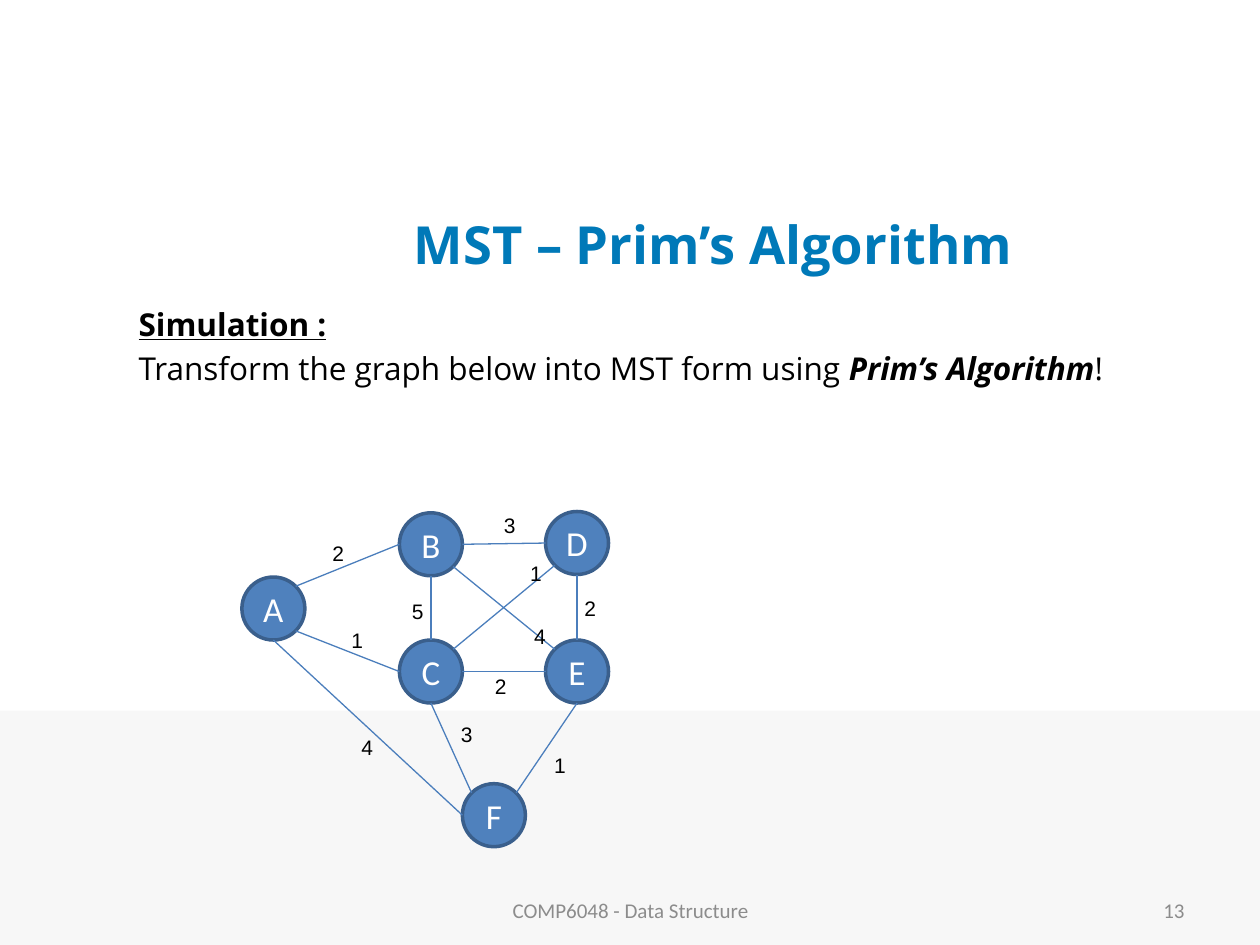
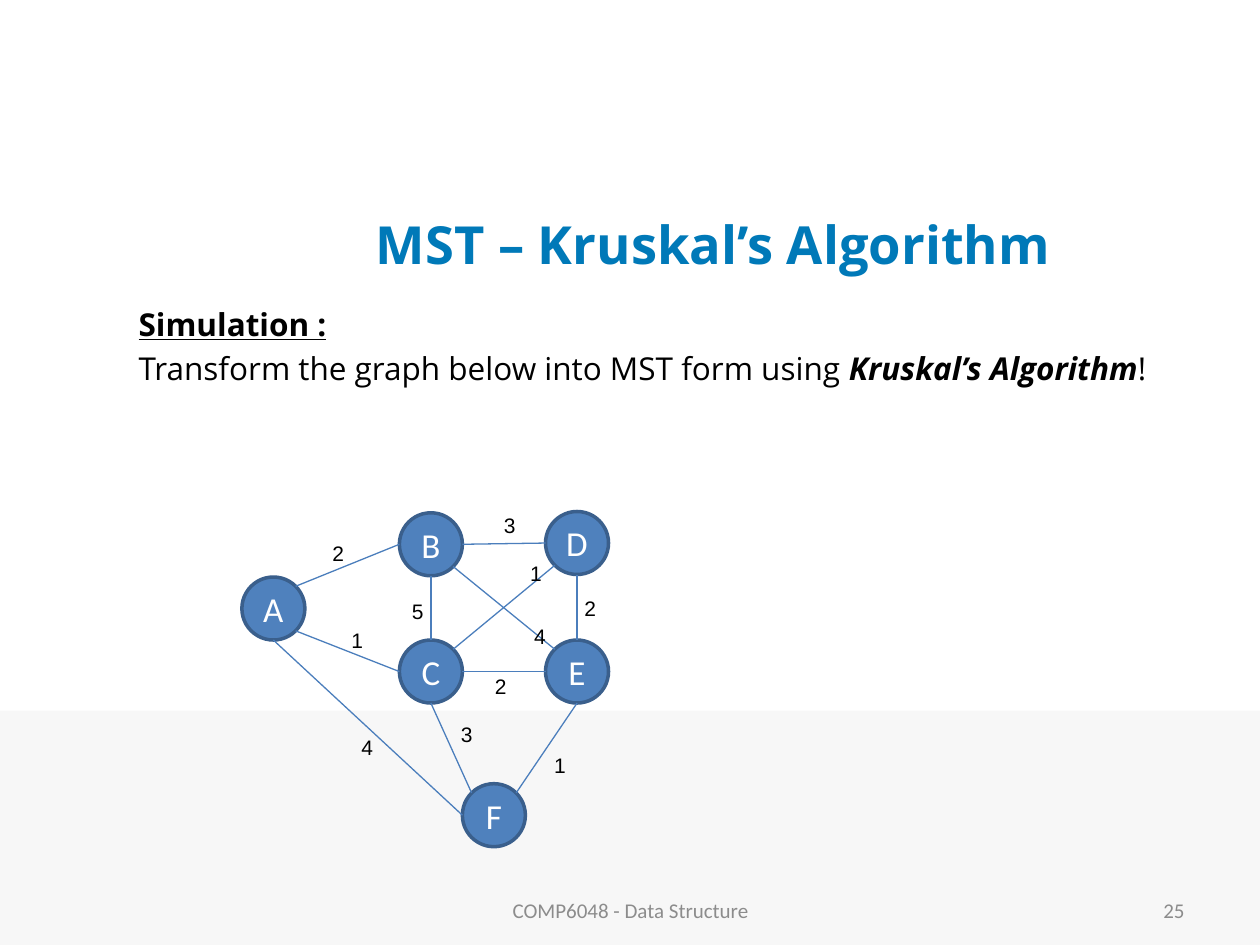
import math

import lxml.etree
import pptx
import pptx.dml.color
import pptx.enum.shapes
import pptx.enum.text
import pptx.oxml.ns
import pptx.util

Inches = pptx.util.Inches
Pt = pptx.util.Pt
RGBColor = pptx.dml.color.RGBColor
ALIGN = pptx.enum.text.PP_ALIGN
MIDDLE = pptx.enum.text.MSO_ANCHOR.MIDDLE
NO_AUTOFIT = pptx.enum.text.MSO_AUTO_SIZE.NONE
qn = pptx.oxml.ns.qn

TITLE_BLUE = RGBColor(0x00, 0x79, 0xB8)
BAND_GRAY = RGBColor(0xF7, 0xF7, 0xF7)
FOOTER_GRAY = RGBColor(0x8C, 0x8C, 0x8C)
NODE_FILL = RGBColor(0x4F, 0x81, 0xBD)
NODE_LINE = RGBColor(0x3A, 0x5F, 0x8C)
EDGE_BLUE = RGBColor(0x4B, 0x7E, 0xBC)
BLACK = RGBColor(0x00, 0x00, 0x00)
WHITE = RGBColor(0xFF, 0xFF, 0xFF)

SLIDES = [("Prim’s Algorithm", "13"), ("Kruskal’s Algorithm", "25")]
NODE_SIZE = 0.5
NODES = {
    "A": (1.92, 4.58),
    "B": (3.17, 4.07),
    "C": (3.17, 5.08),
    "D": (4.33, 4.06),
    "E": (4.33, 5.08),
    "F": (3.67, 6.22),
}
TOP, TOP_LEFT, LEFT, BOTTOM_LEFT, BOTTOM, BOTTOM_RIGHT, RIGHT, TOP_RIGHT = range(8)
EDGES = [
    ("A", TOP_RIGHT, "B", LEFT, "2", 2.54, 4.24),
    ("A", BOTTOM_RIGHT, "C", LEFT, "1", 2.69, 4.93),
    ("B", RIGHT, "D", LEFT, "3", 3.9, 4.02),
    ("D", BOTTOM, "E", TOP, "2", 4.54, 4.68),
    ("C", RIGHT, "E", LEFT, "2", 3.83, 5.3),
    ("B", BOTTOM, "C", TOP, "5", 3.17, 4.7),
    ("D", BOTTOM_LEFT, "C", TOP_RIGHT, "1", 4.11, 4.4),
    ("B", BOTTOM_RIGHT, "E", TOP_LEFT, "4", 4.14, 4.9),
    ("A", BOTTOM, "F", LEFT, "4", 2.77, 5.78),
    ("F", TOP_RIGHT, "E", BOTTOM, "1", 4.3, 5.92),
    ("C", BOTTOM, "F", TOP_LEFT, "3", 3.56, 5.68),
]


def write_text(shape, text, font_name, size, color, alignment, bold=False):
    shape.text_frame.text = text
    paragraph = shape.text_frame.paragraphs[0]
    paragraph.alignment = alignment
    paragraph.font.name = font_name
    paragraph.font.size = Pt(size)
    paragraph.font.bold = bold
    paragraph.font.color.rgb = color


def node_site(name, site):
    left, top = NODES[name]
    radius = NODE_SIZE / 2
    angle = math.radians(45 * site)
    return (
        Inches(left + radius - radius * math.sin(angle)),
        Inches(top + radius - radius * math.cos(angle)),
    )


presentation = pptx.Presentation()
presentation.slide_width = Inches(10)
presentation.slide_height = Inches(7.5)
layout = presentation.slide_layouts[1]

for slide_index, (algorithm, page_number) in enumerate(SLIDES):
    slide = presentation.slides.add_slide(layout)
    shapes = slide.shapes

    if slide_index == 0:
        band = shapes.add_shape(
            pptx.enum.shapes.MSO_SHAPE.RECTANGLE,
            Inches(0), Inches(5.64), Inches(10), Inches(1.86),
        )
        band.shadow.inherit = False
        band.fill.solid()
        band.fill.fore_color.rgb = BAND_GRAY
        band.line.fill.background()
        presentation.slide_master.shapes._spTree.insert(2, band._element)

    title = shapes.title
    title.left, title.top = Inches(1.92), Inches(1.5)
    title.width, title.height = Inches(7.48), Inches(0.87)
    title.text_frame.auto_size = NO_AUTOFIT
    title.text_frame.vertical_anchor = MIDDLE
    write_text(title, f"MST – {algorithm}", "Open Sans", 30, TITLE_BLUE, ALIGN.CENTER, True)

    body = slide.placeholders[1]
    body.left, body.top = Inches(1), Inches(2.37)
    body.width, body.height = Inches(8.58), Inches(4.69)
    body.text_frame.auto_size = NO_AUTOFIT
    heading = body.text_frame.paragraphs[0]
    task = body.text_frame.add_paragraph()
    heading.add_run().text = "Simulation :"
    for text, emphasized in [
        ("Transform the graph below into MST form using ", False),
        (algorithm, True),
        ("!", False),
    ]:
        run = task.add_run()
        run.text = text
        run.font.bold = emphasized
        run.font.italic = emphasized
    heading.space_before = Pt(0)
    for paragraph in (heading, task):
        properties = paragraph._p.get_or_add_pPr()
        properties.set("marL", str(Inches(0.38)))
        properties.set("indent", str(Inches(-0.38)))
        lxml.etree.SubElement(properties, qn("a:buNone"))
        paragraph.font.name = "Open Sans"
        paragraph.font.size = Pt(18)
        paragraph.font.color.rgb = BLACK
    heading.font.bold = True
    heading.font.underline = True

    for text, left, width, alignment in [
        ("COMP6048 - Data Structure", 3.42, 3.17, ALIGN.CENTER),
        (page_number, 7.17, 2.33, ALIGN.RIGHT),
    ]:
        footer = shapes.add_textbox(Inches(left), Inches(7.02), Inches(width), Inches(0.4))
        footer.text_frame.word_wrap = True
        footer.text_frame.vertical_anchor = MIDDLE
        write_text(footer, text, "Calibri", 12, FOOTER_GRAY, alignment)

    node_shapes = {}
    for name, (left, top) in NODES.items():
        node = shapes.add_shape(
            pptx.enum.shapes.MSO_SHAPE.OVAL,
            Inches(left), Inches(top), Inches(NODE_SIZE), Inches(NODE_SIZE),
        )
        node.shadow.inherit = False
        node.fill.solid()
        node.fill.fore_color.rgb = NODE_FILL
        node.line.color.rgb = NODE_LINE
        node.line.width = Pt(2)
        node.text_frame.margin_left = node.text_frame.margin_right = 0
        node.text_frame.vertical_anchor = MIDDLE
        write_text(node, name, "Calibri", 20, WHITE, ALIGN.CENTER)
        node_shapes[name] = node

    for start, start_site, end, end_site, weight, left, top in EDGES:
        edge = shapes.add_connector(
            pptx.enum.shapes.MSO_CONNECTOR.STRAIGHT,
            *node_site(start, start_site), *node_site(end, end_site),
        )
        edge.line.color.rgb = EDGE_BLUE
        edge.line.width = Pt(0.75)
        lxml.etree.SubElement(edge._element.spPr, qn("a:effectLst"))
        joints = edge._element.nvCxnSpPr.cNvCxnSpPr
        for tag, name, site in [("a:stCxn", start, start_site), ("a:endCxn", end, end_site)]:
            lxml.etree.SubElement(
                joints, qn(tag), id=str(node_shapes[name].shape_id), idx=str(site)
            )

        label = shapes.add_textbox(Inches(left), Inches(top), Inches(0.29), Inches(0.3))
        label.text_frame.word_wrap = False
        label.text_frame.auto_size = pptx.enum.text.MSO_AUTO_SIZE.SHAPE_TO_FIT_TEXT
        write_text(label, weight, "Arial", 12, BLACK, ALIGN.LEFT)

presentation.save("out.pptx")
